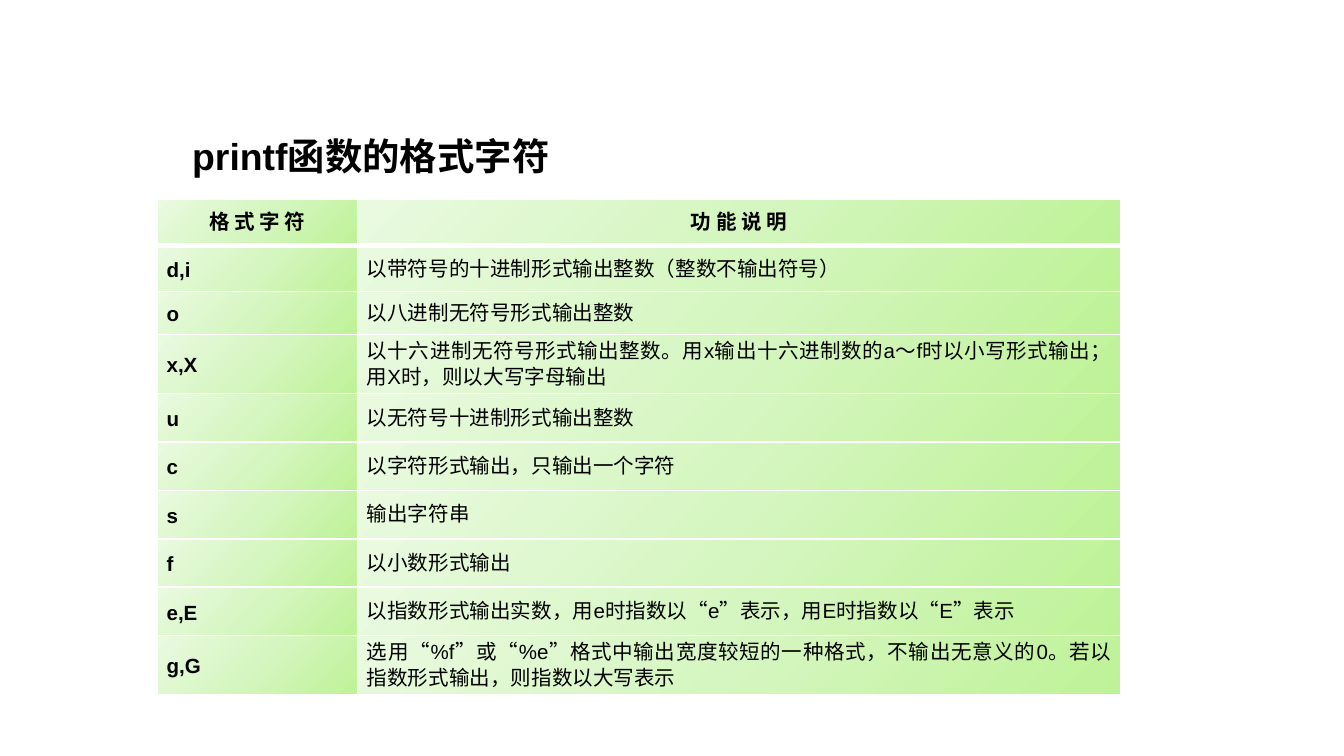
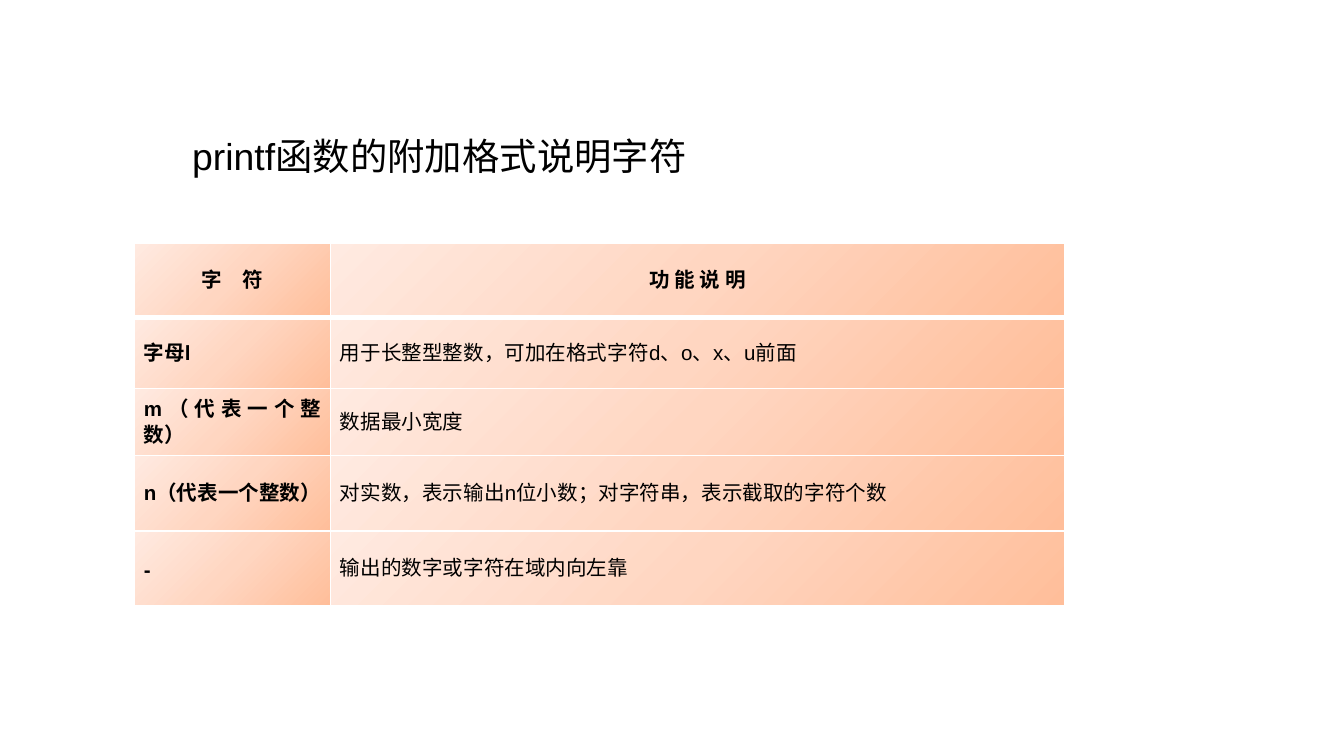
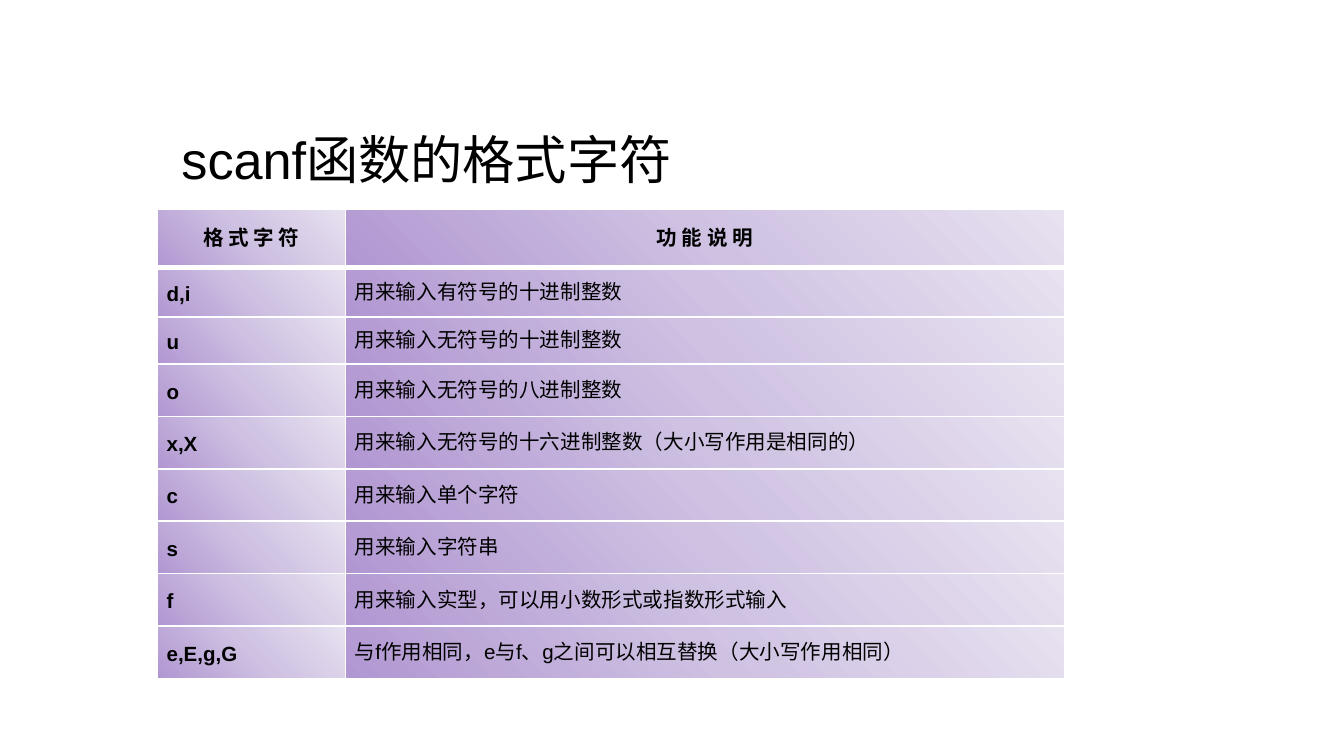
from pptx import Presentation
from pptx.dml.color import RGBColor
from pptx.enum import text
from pptx.oxml import parse_xml
from pptx.oxml.ns import nsdecls
from pptx.util import Inches, Pt

FONT = "Arial"
INK = "000000"
LINE = "FFFFFF"
FROM_CORNER = '<a:path path="circle"><a:fillToRect l="100000" t="100000"/></a:path>'
LINEAR = '<a:lin ang="{}" scaled="0"/>'

# Content: each page has a title, a table and a gradient from dark to light
pages = [
    {
        "title": "printf函数的格式字符", "size": 20, "bold": True, "indent": 0.18,
        "title_at": (1.25, 0.94, 3.15, 0.44), "fit": True,
        "stops": ("BEF297", "D5F6C0", "EAFAE0"), "direction": FROM_CORNER,
        "table_at": (1.17, 1.48), "widths": (1.49, 5.68),
        "heights": [0.35, 0.34, 0.32, 0.44] + [0.36] * 5 + [0.44],
        "rows": [
            ("格 式 字 符", "功 能 说 明"),
            ("d,i", "以带符号的十进制形式输出整数（整数不输出符号）"),
            ("o", "以八进制无符号形式输出整数"),
            ("x,X", "以十六进制无符号形式输出整数。用x输出十六进制数的a～f时以小写形式输出；用X时，则以大写字母输出"),
            ("u", "以无符号十进制形式输出整数"),
            ("c", "以字符形式输出，只输出一个字符"),
            ("s", "输出字符串"),
            ("f", "以小数形式输出"),
            ("e,E", "以指数形式输出实数，用e时指数以“e”表示，用E时指数以“E”表示"),
            ("g,G", "选用“%f”或“%e”格式中输出宽度较短的一种格式，不输出无意义的0。若以指数形式输出，则指数以大写表示"),
        ],
    },
    {
        "title": "printf函数的附加格式说明字符", "size": 20, "bold": False, "indent": 0.18,
        "title_at": (1.25, 0.94, 4.21, 0.44), "fit": True,
        "stops": ("FFBE9A", "FFD6C1", "FFEAE1"), "direction": LINEAR.format(225 * 60000),
        "table_at": (1, 1.81), "widths": (1.46, 5.46),
        "heights": [0.55, 0.53, 0.5, 0.56, 0.56],
        "rows": [
            ("字　符", "功 能 说 明"),
            ("字母l", "用于长整型整数，可加在格式字符d、o、x、u前面"),
            ("m（代表一个整数）", "数据最小宽度"),
            ("n（代表一个整数）", "对实数，表示输出n位小数；对字符串，表示截取的字符个数"),
            ("-", "输出的数字或字符在域内向左靠"),
        ],
    },
    {
        "title": "scanf函数的格式字符", "size": 28, "bold": False, "indent": 0.1,
        "title_at": (1.25, 0.9, 4.08, 0.67), "fit": False,
        "stops": ("B197D2", "CEC1E2", "E7E1F0"), "direction": LINEAR.format(315 * 60000),
        "table_at": (1.17, 1.56), "widths": (1.4, 5.35),
        "heights": [0.43, 0.37, 0.35] + [0.39] * 6,
        "rows": [
            ("格 式 字 符", "功 能 说 明"),
            ("d,i", "用来输入有符号的十进制整数"),
            ("u", "用来输入无符号的十进制整数"),
            ("o", "用来输入无符号的八进制整数"),
            ("x,X", "用来输入无符号的十六进制整数（大小写作用是相同的）"),
            ("c", "用来输入单个字符"),
            ("s", "用来输入字符串"),
            ("f", "用来输入实型，可以用小数形式或指数形式输入"),
            ("e,E,g,G", "与f作用相同，e与f、g之间可以相互替换（大小写作用相同）"),
        ],
    },
]


def format_text(para, size, bold, align):
    para.alignment = align
    for span in para.runs:
        span.font.name = FONT
        span.font.size = Pt(size)
        span.font.bold = bold
        span.font.color.rgb = RGBColor.from_string(INK)


def paint_cell(cell, row, stops, direction):
    """Add the white borders, thick under the header, and the gradient."""
    properties = cell._tc.get_or_add_tcPr()
    widths = {"lnL": 1, "lnR": 1, "lnT": 3 if row == 1 else 1, "lnB": 3 if row == 0 else 1}
    for side, width in widths.items():
        properties.append(parse_xml(
            f'<a:{side} {nsdecls("a")} w="{Pt(width)}"><a:solidFill>'
            f'<a:srgbClr val="{LINE}"/></a:solidFill></a:{side}>'))
    marks = "".join(f'<a:gs pos="{i * 50000}"><a:srgbClr val="{color}"/></a:gs>'
                    for i, color in enumerate(stops))
    properties.append(parse_xml(
        f'<a:gradFill {nsdecls("a")} rotWithShape="1"><a:gsLst>{marks}</a:gsLst>'
        f'{direction}</a:gradFill>'))


# Widescreen deck, 16 to 9
deck = Presentation()
deck.slide_width = Inches(10)
deck.slide_height = Inches(10 * 9 / 16)

for page in pages:
    slide = deck.slides.add_slide(deck.slide_layouts[5])

    # Title
    title = slide.shapes.title
    title.left, title.top, title.width, title.height = map(Inches, page["title_at"])
    frame = title.text_frame
    frame.text = page["title"]
    frame.margin_left = Inches(page["indent"])
    frame.vertical_anchor = text.MSO_ANCHOR.TOP
    frame.word_wrap = not page["fit"]
    frame.auto_size = (text.MSO_AUTO_SIZE.SHAPE_TO_FIT_TEXT if page["fit"]
                       else text.MSO_AUTO_SIZE.NONE)
    format_text(frame.paragraphs[0], page["size"], page["bold"], text.PP_ALIGN.LEFT)

    # Table
    left, top = page["table_at"]
    widths, heights = page["widths"], page["heights"]
    table = slide.shapes.add_table(
        len(heights), len(widths), Inches(left), Inches(top),
        Inches(sum(widths)), Inches(sum(heights))).table
    table.horz_banding = False
    for column, width in zip(table.columns, widths):
        column.width = Inches(width)
    for line, height in zip(table.rows, heights):
        line.height = Inches(height)

    # Cells: the header row and the first column are bold
    for r, words in enumerate(page["rows"]):
        for c, word in enumerate(words):
            cell = table.cell(r, c)
            cell.text_frame.text = word
            cell.vertical_anchor = text.MSO_ANCHOR.MIDDLE
            cell.margin_left = cell.margin_right = Inches(0.07)
            cell.margin_top = cell.margin_bottom = 0
            para = cell.text_frame.paragraphs[0]
            para.line_spacing = Pt(14)
            align = text.PP_ALIGN.CENTER if r == 0 else text.PP_ALIGN.JUSTIFY
            format_text(para, 11, r == 0 or c == 0, align)
            paint_cell(cell, r, page["stops"], page["direction"])

deck.save("out.pptx")
